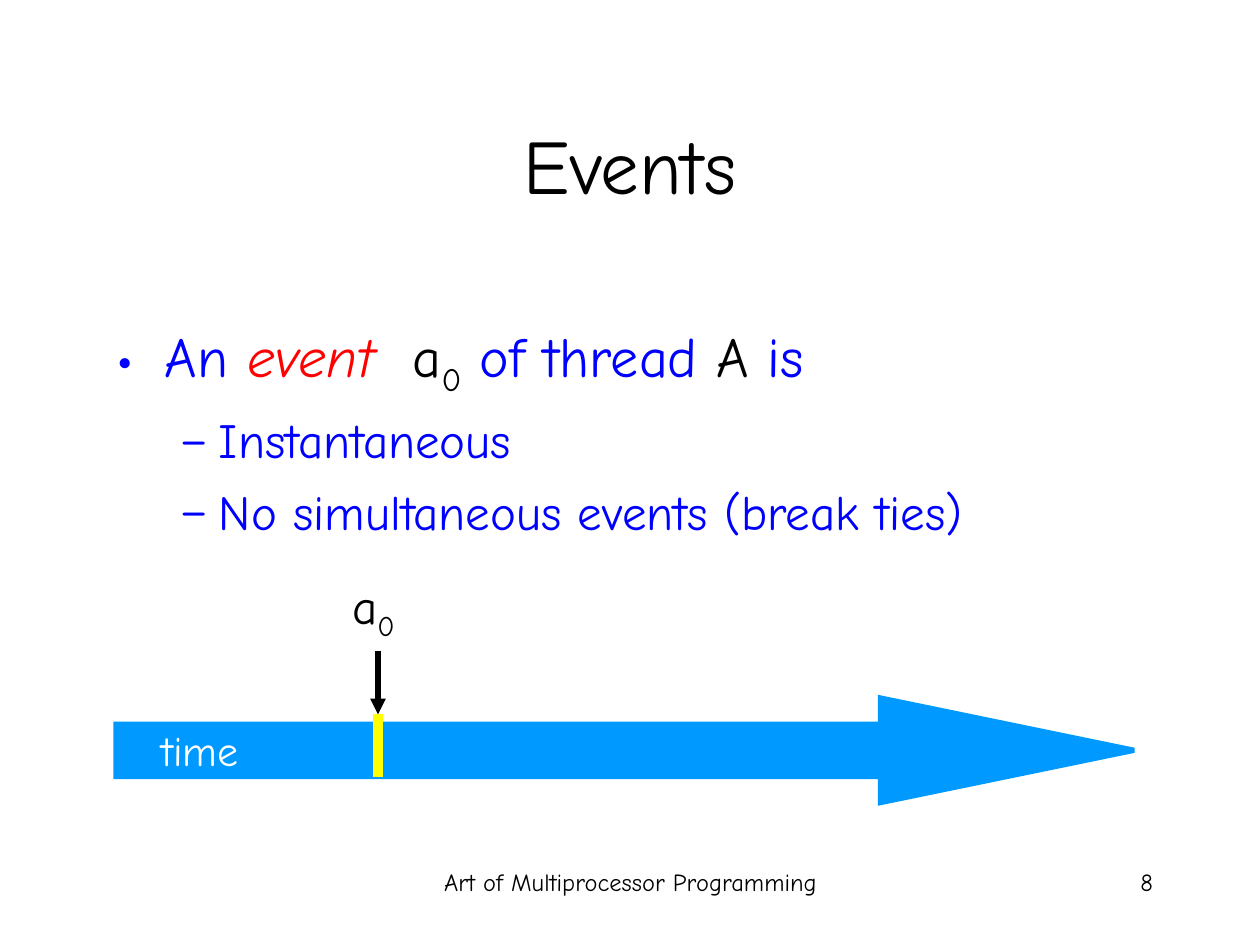
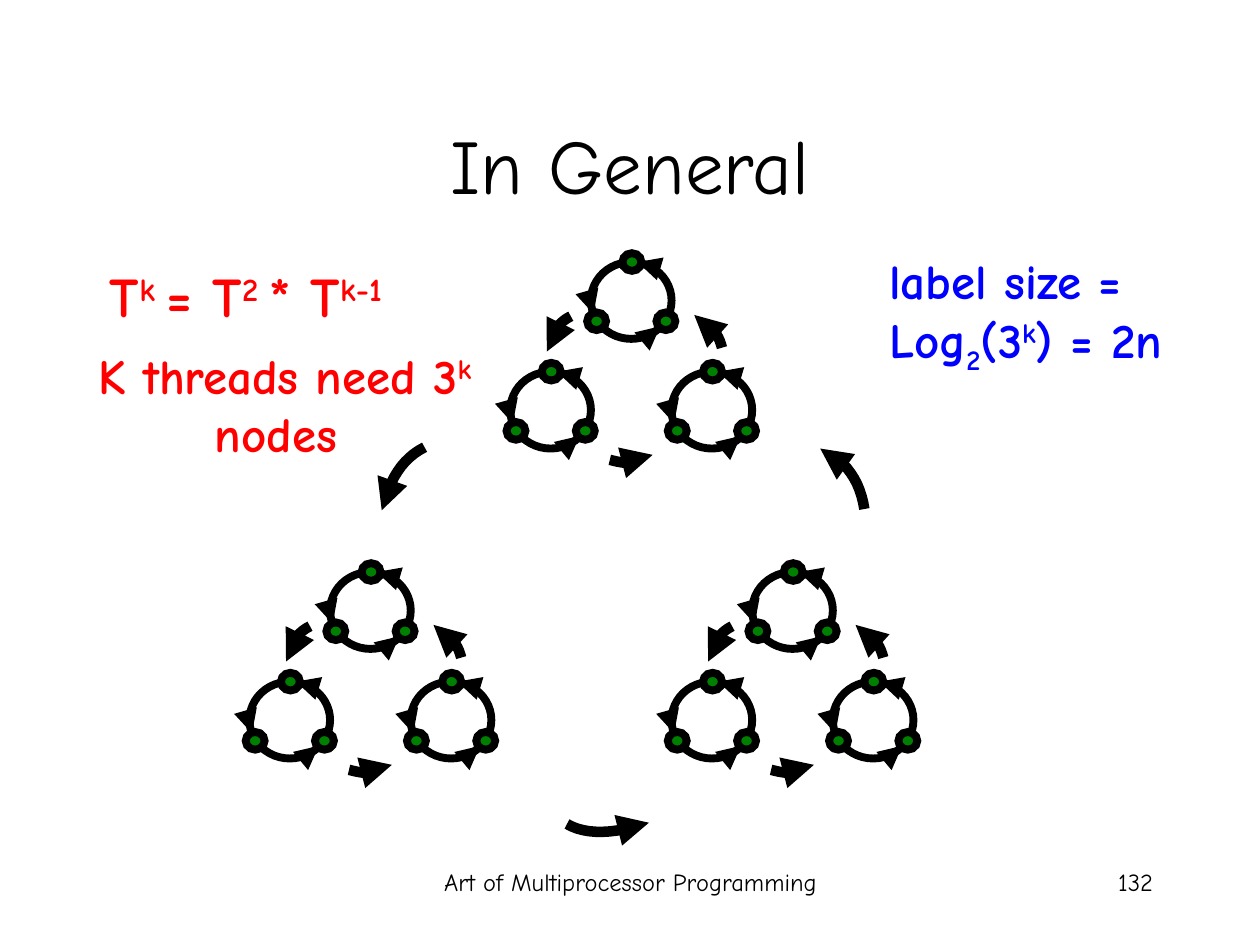
"""Build two lecture slides: events on a time line, and nested ring graphs."""
from dataclasses import dataclass
from typing import NamedTuple, Optional

from lxml import etree
from pptx import Presentation
from pptx import util as u
from pptx.dml.color import RGBColor
from pptx.enum import shapes, text
from pptx.oxml import ns

PX = u.Inches(1) // 100
LEFT, MID, RIGHT = text.PP_ALIGN.LEFT, text.PP_ALIGN.CENTER, text.PP_ALIGN.RIGHT
SUB, SUP = -25000, 30000


@dataclass(frozen=True)
class Theme:
    face: str = "Comic Neue"
    black: str = "000000"
    white: str = "FFFFFF"
    blue: str = "0000FF"
    red: str = "FF0000"
    sky: str = "0099FF"
    yellow: str = "FFFF00"
    green: str = "008000"
    title: int = 44
    large: int = 32
    body: int = 28
    label: int = 24
    small: int = 14
    thin: float = 3
    ring: float = 4.5
    thick: float = 6


T = Theme()


class Point(NamedTuple):
    x: int
    y: int


class Box(NamedTuple):
    x: int
    y: int
    w: int
    h: int


class Bullet(NamedTuple):
    mark: str
    left: int
    hang: int


class Run(NamedTuple):
    words: str
    color: Optional[str] = None
    base: int = 0
    slant: bool = False
    track: int = 0


@dataclass(frozen=True)
class Para:
    runs: tuple[Run, ...]
    size: int
    color: str = T.black
    align: text.PP_ALIGN = LEFT
    bold: bool = False
    bullet: Optional[Bullet] = None
    before: int = 0


@dataclass(frozen=True)
class Label:
    box: Box
    paras: tuple[Para, ...]
    wrap: bool = True
    grow: bool = False
    anchor: text.MSO_ANCHOR = text.MSO_ANCHOR.TOP


class Sweep(NamedTuple):
    start: Point
    bend: Point
    turn: Point
    end: Point


DOT = Bullet("•", 38, 38)
DASH = Bullet("–", 81, 31)

RING = Box(0, 0, 64, 61)
NODES = (Box(25, -7, 15, 14), Box(52, 40, 15, 14), Box(-3, 40, 15, 14))
TICKS = (
    (Point(0, 34), Point(2, 41)),
    (Point(49, 56), Point(55, 51)),
    (Point(47, 3), Point(37, 0)),
)
RINGS = (Point(-64, 87), Point(64, 87), Point(0, 0))
TRIOS = (Point(597, 454), Point(262, 454), Point(469, 208))
INNER = (
    Sweep(Point(-16, 43), Point(-28, 49), Point(-32, 59), Point(-35, 71)),
    Sweep(Point(104, 68), Point(101, 56), Point(94, 48), Point(82, 42)),
    Sweep(Point(15, 157), Point(27, 160), Point(37, 162), Point(49, 153)),
)
OUTER = (
    Sweep(Point(337, 355), Point(319, 364), Point(309, 381), Point(303, 405)),
    Sweep(Point(686, 404), Point(683, 383), Point(672, 365), Point(651, 356)),
    Sweep(Point(450, 654), Point(465, 663), Point(488, 662), Point(515, 653)),
)


def emu(*sizes: float) -> list[int]:
    """Turn px into EMU."""
    return [round(size * PX) for size in sizes]


def shift(pos: Point, by: Point) -> Point:
    """Move a point by an offset."""
    return Point(pos.x + by.x, pos.y + by.y)


def rgb(color: str) -> RGBColor:
    """Read a hex colour."""
    return RGBColor.from_string(color)


def stroke(item, color: str, width: float, head: bool = False) -> None:
    """Set a sharp-cornered outline, with an arrowhead if asked."""
    item.line.color.rgb = rgb(color)
    item.line.width = u.Pt(width)
    edge = item.line._get_or_add_ln()
    etree.SubElement(edge, ns.qn("a:miter"), lim="800000")
    if head:
        etree.SubElement(edge, ns.qn("a:tailEnd"), type="triangle")


def mark(para, bullet: Bullet, color: str) -> None:
    """Give a paragraph its bullet and indent."""
    props = para._p.get_or_add_pPr()
    props.set("marL", str(bullet.left * PX))
    props.set("indent", str(-bullet.hang * PX))
    tint = etree.SubElement(props, ns.qn("a:buClr"))
    etree.SubElement(tint, ns.qn("a:srgbClr"), val=color)
    etree.SubElement(props, ns.qn("a:buFont"), typeface=T.face)
    etree.SubElement(props, ns.qn("a:buChar"), char=bullet.mark)


def fill(para, data: Para) -> None:
    """Write one paragraph."""
    if data.bullet:
        mark(para, data.bullet, data.color)
    para.alignment = data.align
    para.space_before = u.Pt(data.before)
    font = para.font
    font.name, font.size, font.bold = T.face, u.Pt(data.size), data.bold
    font.color.rgb = rgb(data.color)
    for part in data.runs:
        run = para.add_run()
        run.text = part.words
        if part.color:
            run.font.color.rgb = rgb(part.color)
        if part.slant:
            run.font.italic = True
        props = run._r.get_or_add_rPr()
        if part.base:
            props.set("baseline", str(part.base))
        if part.track:
            props.set("spc", str(part.track))


def write(slide, label: Label) -> None:
    """Add a text box."""
    frame = slide.shapes.add_textbox(*emu(*label.box)).text_frame
    frame.word_wrap = label.wrap
    frame.vertical_anchor = label.anchor
    if label.grow:
        frame.auto_size = text.MSO_AUTO_SIZE.SHAPE_TO_FIT_TEXT
    for i, data in enumerate(label.paras):
        fill(frame.add_paragraph() if i else frame.paragraphs[0], data)


def solid(slide, kind: shapes.MSO_SHAPE, box: Box, color: str, edge: str, width: float):
    """Add a filled preset shape."""
    item = slide.shapes.add_shape(kind, *emu(*box))
    item.shadow.inherit = False
    item.fill.solid()
    item.fill.fore_color.rgb = rgb(color)
    stroke(item, edge, width)
    return item


def join(slide, start: Point, end: Point, color: str, width: float, head: bool = True) -> None:
    """Add a straight line."""
    line = slide.shapes.add_connector(shapes.MSO_CONNECTOR.STRAIGHT, *emu(*start, *end))
    stroke(line, color, width, head)
    etree.SubElement(line._element.spPr, ns.qn("a:effectLst"))


def curve(slide, sweep: Sweep, by: Point = Point(0, 0), steps: int = 12) -> None:
    """Add a curved arrow along a cubic."""
    spots = []
    for i in range(steps + 1):
        t = i / steps
        parts = ((1 - t) ** 3, 3 * t * (1 - t) ** 2, 3 * t * t * (1 - t), t ** 3)
        x = by.x + sum(k * p.x for k, p in zip(parts, sweep))
        y = by.y + sum(k * p.y for k, p in zip(parts, sweep))
        spots.append(emu(x, y))
    pen = slide.shapes.build_freeform(*spots[0], scale=1.0)
    pen.add_line_segments(spots[1:], close=False)
    item = pen.convert_to_shape()
    item.shadow.inherit = False
    item.fill.background()
    stroke(item, T.black, T.thick, head=True)


def ring(slide, at: Point) -> None:
    """Draw a three-node cycle."""
    oval = shapes.MSO_SHAPE.OVAL
    for part in (RING, *NODES):
        spot = Box(*shift(Point(part.x, part.y), at), part.w, part.h)
        solid(slide, oval, spot, T.white if part is RING else T.green, T.black, T.ring)
    for start, end in TICKS:
        join(slide, shift(start, at), shift(end, at), T.black, T.ring)


def trio(slide, at: Point) -> None:
    """Draw three rings linked in a cycle."""
    for spot in RINGS:
        ring(slide, shift(spot, at))
    for sweep in INNER:
        curve(slide, sweep, at)


def page(deck, title: str, number: int):
    """Add a slide with its title and footer."""
    slide = deck.slides.add_slide(deck.slide_layouts[6])
    foot = Para((Run("Art of Multiprocessor Programming"),), T.small, align=MID)
    count = Para((Run(str(number)),), T.small, align=RIGHT)
    head = Para((Run(title),), T.title, align=MID)
    write(slide, Label(Box(342, 683, 317, 50), (foot,)))
    write(slide, Label(Box(717, 683, 208, 50), (count,)))
    write(slide, Label(Box(75, 67, 850, 125), (head,), anchor=text.MSO_ANCHOR.MIDDLE))
    return slide


def events(deck) -> None:
    """Build the slide on events."""
    slide = page(deck, "Events", 8)
    arrow = solid(slide, shapes.MSO_SHAPE.RIGHT_ARROW, Box(92, 554, 808, 83), T.sky, T.sky, T.thin)
    arrow.adjustments[0], arrow.adjustments[1] = 0.5, 2.425
    time = Para((Run("time"),), T.label, T.white, RIGHT)
    write(slide, Label(Box(104, 570, 95, 50), (time,)))
    lead = (
        Run("An "), Run("event", T.red, slant=True), Run(" ", track=1070),
        Run("a", T.black), Run("0", T.black, SUB),
        Run(" of thread "), Run("A", T.black), Run(" is"),
    )
    facts = [
        Para((Run(fact),), T.body, T.blue, bullet=DASH, before=7)
        for fact in ("Instantaneous", "No simultaneous events (break ties)")
    ]
    write(slide, Label(Box(83, 250, 850, 358), (Para(lead, T.large, T.blue, bullet=DOT), *facts)))
    join(slide, Point(300, 517), Point(300, 567), T.black, T.thin)
    join(slide, Point(300, 567), Point(300, 617), T.yellow, T.thick, head=False)
    name = Para((Run("a"), Run("0", base=SUB)), T.body, align=RIGHT)
    write(slide, Label(Box(269, 452, 54, 63), (name,), wrap=False, grow=True))


def general(deck) -> None:
    """Build the slide on the general case."""
    slide = page(deck, "In General", 132)
    rule = (
        Run("T"), Run("k ", base=SUP), Run("= T"), Run("2 ", base=SUP),
        Run("* T"), Run("k-1", base=SUP),
    )
    need = (Run("K threads need 3"), Run("k ", base=SUP), Run("nodes "))
    size = (Run("Log"), Run("2", base=SUB), Run("(3"), Run("k", base=SUP), Run(") = 2n"))
    write(slide, Label(Box(77, 203, 236, 64), (Para(rule, T.large, T.red, RIGHT, True),), False, True))
    for spot in TRIOS:
        trio(slide, spot)
    for sweep in OUTER:
        curve(slide, sweep)
    write(slide, Label(Box(37, 269, 378, 104), (Para(need, T.body, T.red, MID, True),), grow=True))
    lines = tuple(Para(runs, T.body, T.blue, bold=True) for runs in ((Run("label size ="),), size))
    write(slide, Label(Box(696, 194, 256, 110), lines, grow=True))


def main() -> None:
    """Build and save the deck."""
    deck = Presentation()
    deck.slide_width, deck.slide_height = emu(1000, 750)
    events(deck)
    general(deck)
    deck.save("out.pptx")


if __name__ == "__main__":
    main()
